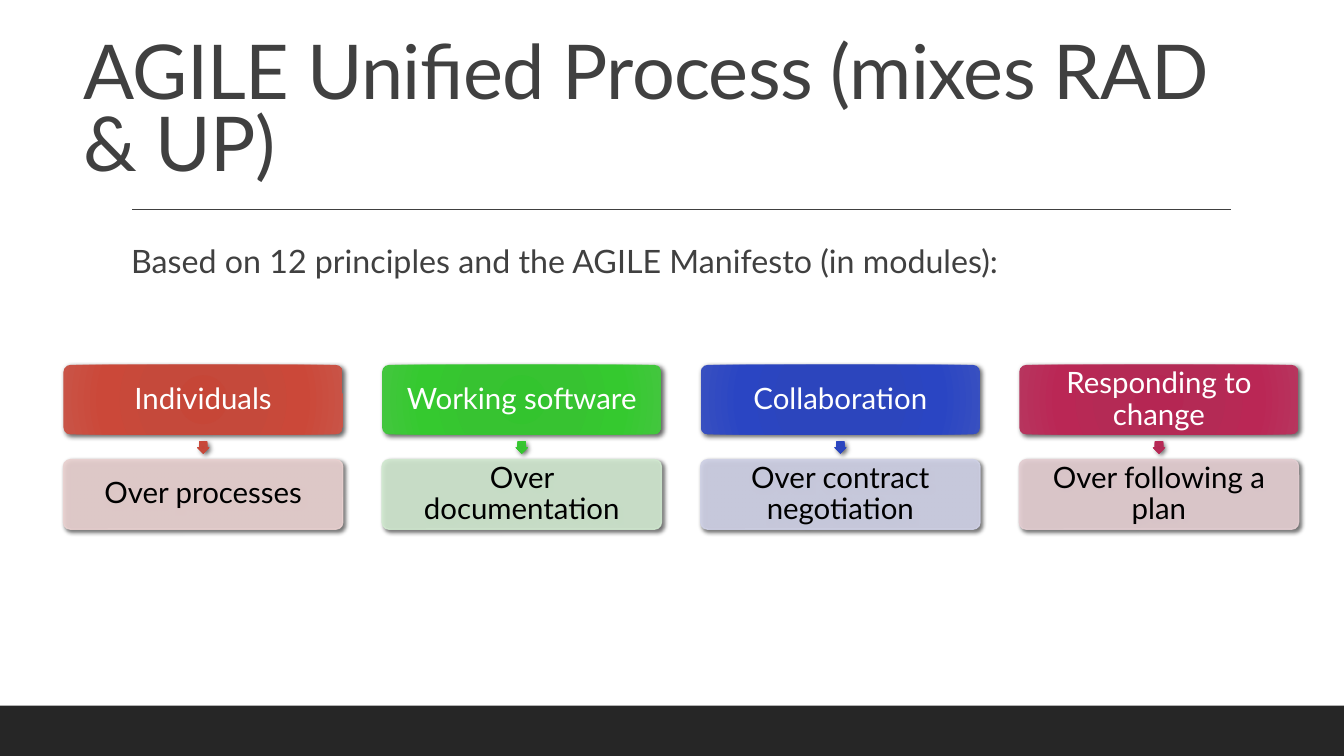
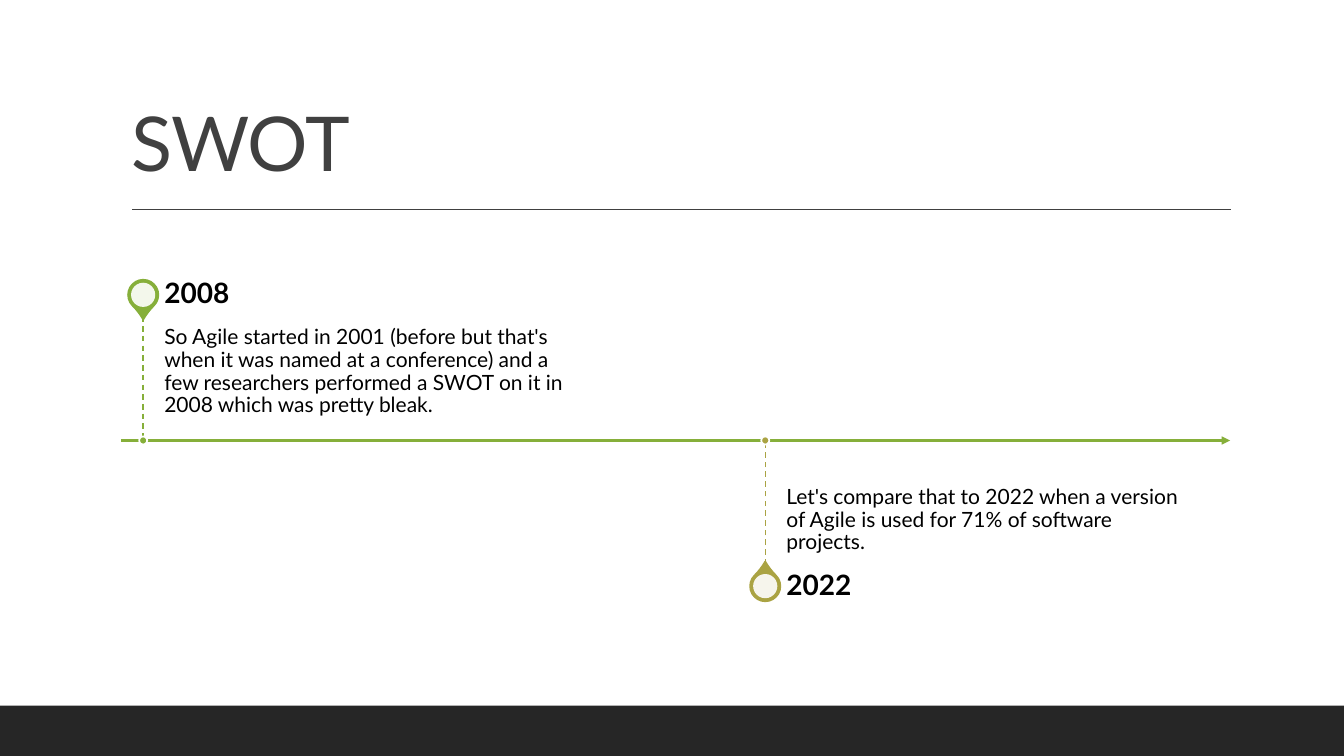
from dataclasses import dataclass

from lxml.etree import SubElement
from pptx import Presentation
from pptx.dml.color import RGBColor
from pptx.enum.dml import MSO_LINE
from pptx.enum.shapes import MSO_CONNECTOR, MSO_SHAPE
from pptx.enum.text import MSO_ANCHOR, MSO_AUTO_SIZE, PP_ALIGN
from pptx.oxml.ns import qn
from pptx.util import Inches, Pt

FONT = "Lato"
INK, BAND, BLACK, WHITE = "404040", "262626", "000000", "FFFFFF"
SLIDE_W, SLIDE_H, BAND_H = 13.33, 7.5, 0.5
TITLE_ONLY, TITLE_AND_CONTENT = 5, 1

CARD_X, CARD_STEP, CARD_W, CARD_H = 0.63, 3.16, 2.77, 0.69
VALUE_Y, ARROW_Y, OVER_Y, ARROW = 3.62, 4.38, 4.56, 0.12

AXIS_Y, STEM, YEAR_H = 4.37, 1.23, 0.43
PIN, HOLE, DOT = 0.3, 0.24, 0.08
GREEN, OLIVE = "86AF3A", "AAA343"


@dataclass(frozen=True)
class Value:
    name: str
    over: str
    stops: tuple[str, str, str, str]
    tint: str


@dataclass(frozen=True)
class Milestone:
    year: str
    note: str
    x: float
    colour: str
    above: bool


VALUES = [
    Value("Individuals", "Over processes",
          ("C64637", "C5493B", "CB4839", "C95447"), "E9D1D0"),
    Value("Working software", "Over documentation",
          ("33C42E", "37C331", "35C92F", "43C63E"), "D0E8CF"),
    Value("Collaboration", "Over contract negotiation",
          ("2943BE", "2C45BD", "2A45C3", "3850C0"), "CFD1E6"),
    Value("Responding to change", "Over following a plan",
          ("B52653", "B42A55", "BA2755", "B7355E"), "E4CED2"),
]
MILESTONES = [
    Milestone("2008", "So Agile started in 2001 (before but that's when it was "
              "named at a conference) and a few researchers performed a SWOT on "
              "it in 2008 which was pretty bleak.", 1.42, GREEN, True),
    Milestone("2022", "Let's compare that to 2022 when a version of Agile is "
              "used for 71% of software projects.", 7.59, OLIVE, False),
]


def rgb(colour: str) -> RGBColor:
    return RGBColor.from_string(colour)


def place(sp, x: float, y: float, w: float, h: float) -> None:
    sp.left, sp.top, sp.width, sp.height = map(Inches, (x, y, w, h))


def write(sp, text: str, size: float, colour: str, *, bold=False, spacing=0.9,
          align=PP_ALIGN.LEFT, anchor=MSO_ANCHOR.TOP, insets=(0, 0, 0, 0)):
    """Fill a shape with one formatted run; insets run left, top, right, bottom."""
    tf = sp.text_frame
    tf.word_wrap, tf.auto_size = True, MSO_AUTO_SIZE.NONE
    tf.vertical_anchor = anchor
    (tf.margin_left, tf.margin_top,
     tf.margin_right, tf.margin_bottom) = map(Inches, insets)
    p = tf.paragraphs[0]
    p.alignment, p.line_spacing = align, spacing
    r = p.add_run()
    r.text = text
    r.font.name, r.font.size, r.font.bold = FONT, Pt(size), bold
    r.font.color.rgb = rgb(colour)
    return p


def add_text(slide, x: float, y: float, w: float, h: float, text: str,
             size: float, **style) -> None:
    sp = slide.shapes.add_textbox(*map(Inches, (x, y, w, h)))
    write(sp, text, size, BLACK, **style)


def add_shape(slide, kind, x: float, y: float, w: float, h: float,
              fill: str, line: str = "", line_w: float = 1.25):
    sp = slide.shapes.add_shape(kind, *map(Inches, (x, y, w, h)))
    sp.shadow.inherit = False
    sp.fill.solid()
    sp.fill.fore_color.rgb = rgb(fill)
    if line:
        sp.line.color.rgb = rgb(line)
        sp.line.width = Pt(line_w)
    else:
        sp.line.fill.background()
    return sp


def add_centred(slide, kind, x: float, y: float, size: float, fill: str,
                line: str = ""):
    return add_shape(slide, kind, x - size / 2, y - size / 2, size, size, fill, line)


def add_line(slide, x1: float, y1: float, x2: float, y2: float, colour: str,
             width: float = 1, dash=None, arrow: bool = False) -> None:
    ln = slide.shapes.add_connector(MSO_CONNECTOR.STRAIGHT,
                                    *map(Inches, (x1, y1, x2, y2)))
    ln.line.color.rgb = rgb(colour)
    ln.line.width = Pt(width)
    if dash:
        ln.line.dash_style = dash
    spPr = ln.element.spPr
    if arrow:
        SubElement(spPr.find(qn("a:ln")), qn("a:tailEnd"), type="triangle")
    SubElement(spPr, qn("a:effectLst"))


def set_opacity(sp, percent: int) -> None:
    """Apply the opacity to the fill and, if there is one, the outline."""
    for clr in sp.element.spPr.iter(qn("a:srgbClr")):
        SubElement(clr, qn("a:alpha"), val=str(percent * 1000))


def set_radial_gradient(sp, stops: tuple[str, ...]) -> None:
    sp.fill.gradient()
    grad = sp.element.spPr.find(qn("a:gradFill"))
    for child in list(grad):
        grad.remove(child)
    gs_list = SubElement(grad, qn("a:gsLst"))
    for pos, colour in zip((0, 34, 70, 100), stops):
        gs = SubElement(gs_list, qn("a:gs"), pos=str(pos * 1000))
        SubElement(gs, qn("a:srgbClr"), val=colour)
    circle = SubElement(grad, qn("a:path"), path="circle")
    SubElement(circle, qn("a:fillToRect"), {side: "100000" for side in "ltrb"})


def add_shadow(sp, blur: float) -> None:
    effects = sp.element.spPr.find(qn("a:effectLst"))
    shadow = SubElement(effects, qn("a:outerShdw"), blurRad=str(Pt(blur)),
                        dist=str(Pt(2)), dir=str(45 * 60000), rotWithShape="0")
    clr = SubElement(shadow, qn("a:srgbClr"), val=BLACK)
    SubElement(clr, qn("a:alpha"), val="60000")


def add_slide(prs, layout: int, title: str, x: float, w: float):
    """Start a slide with the shared band, rule and title style."""
    slide = prs.slides.add_slide(prs.slide_layouts[layout])
    add_shape(slide, MSO_SHAPE.RECTANGLE, 0, SLIDE_H - BAND_H, SLIDE_W, BAND_H, BAND)
    add_line(slide, 1.31, 2.08, 12.21, 2.08, INK)
    sp = slide.shapes.title
    place(sp, x, 0.31, w, 1.59)
    p = write(sp, title, 54, INK, spacing=0.8, anchor=MSO_ANCHOR.BOTTOM,
              insets=(0.1, 0.05, 0.1, 0.05))
    p.runs[0].font._element.set("spc", "-50")
    return slide


def add_card(slide, x: float, y: float, text: str, fill: str, colour: str,
             line: str = ""):
    sp = add_shape(slide, MSO_SHAPE.ROUNDED_RECTANGLE, x, y, CARD_W, CARD_H,
                   fill, line, 1)
    sp.adjustments[0] = 0.1
    write(sp, text, 21, colour, align=PP_ALIGN.CENTER,
          anchor=MSO_ANCHOR.MIDDLE, insets=(0.05,) * 4)
    return sp


def add_value(slide, x: float, value: Value) -> None:
    card = add_card(slide, x, VALUE_Y, value.name, value.stops[0], WHITE)
    arrow = add_shape(slide, MSO_SHAPE.DOWN_ARROW, x + (CARD_W - ARROW) / 2,
                      ARROW_Y, ARROW, ARROW, value.stops[0])
    arrow.adjustments[0] = 0.67
    for sp in (card, arrow):
        set_radial_gradient(sp, value.stops)
        add_shadow(sp, 3.5)
    over = add_card(slide, x, OVER_Y, value.over, value.tint, BLACK, value.tint)
    # Only the card's own fill and outline are translucent, so this precedes the shadow.
    set_opacity(over, 90)
    add_shadow(over, 3)


def add_milestone(slide, m: Milestone) -> None:
    if m.above:
        note_y, stem_end = AXIS_Y - STEM, AXIS_Y - STEM
        year_y = stem_end - YEAR_H
        angle, anchor, insets = 135, MSO_ANCHOR.TOP, (0, 0.1, 0, 0.16)
    else:
        note_y, stem_end = AXIS_Y, AXIS_Y + STEM
        year_y = stem_end
        angle, anchor, insets = 315, MSO_ANCHOR.BOTTOM, (0, 0.16, 0.1, 0.1)
    pin_y, text_x = year_y + YEAR_H / 2, m.x + 0.21

    add_line(slide, m.x, stem_end, m.x, AXIS_Y, m.colour, dash=MSO_LINE.DASH)
    pin = add_centred(slide, MSO_SHAPE.TEAR, m.x, pin_y, PIN, m.colour, m.colour)
    pin.adjustments[0] = 1.15
    pin.rotation = angle
    set_opacity(add_centred(slide, MSO_SHAPE.OVAL, m.x, pin_y, HOLE, WHITE), 90)
    add_centred(slide, MSO_SHAPE.OVAL, m.x, AXIS_Y, DOT, m.colour, WHITE)
    add_text(slide, text_x, note_y, 4, STEM, m.note, 15, anchor=anchor, insets=insets)
    add_text(slide, text_x, year_y, 4, YEAR_H, m.year, 20, bold=True,
             anchor=MSO_ANCHOR.MIDDLE, insets=(0, 0, 0.14, 0))


def build_values_slide(prs) -> None:
    slide = add_slide(prs, TITLE_AND_CONTENT,
                      "AGILE Unified Process (mixes RAD & UP)", 0.73, 11.98)
    body = slide.placeholders[1]
    place(body, 1.2, 2.31, 11, 0.74)
    p = write(body, "Based on 12 principles and the AGILE Manifesto (in modules):",
              23, INK, spacing=1.1, insets=(0.1, 0.05, 0, 0.05))
    p.space_before, p.space_after = Pt(12), Pt(2)
    pPr = p._p.get_or_add_pPr()
    pPr.set("marL", "0")
    pPr.set("indent", "0")
    SubElement(pPr, qn("a:buNone"))
    for i, value in enumerate(VALUES):
        add_value(slide, CARD_X + i * CARD_STEP, value)


def build_timeline_slide(prs) -> None:
    slide = add_slide(prs, TITLE_ONLY, "SWOT", 1.2, 11)
    add_line(slide, 1.2, AXIS_Y, 12.2, AXIS_Y, GREEN, 1.5, arrow=True)
    for m in MILESTONES:
        add_milestone(slide, m)


def main() -> None:
    prs = Presentation()
    prs.slide_width, prs.slide_height = Inches(SLIDE_W), Inches(SLIDE_H)
    build_values_slide(prs)
    build_timeline_slide(prs)
    prs.save("out.pptx")


if __name__ == "__main__":
    main()
